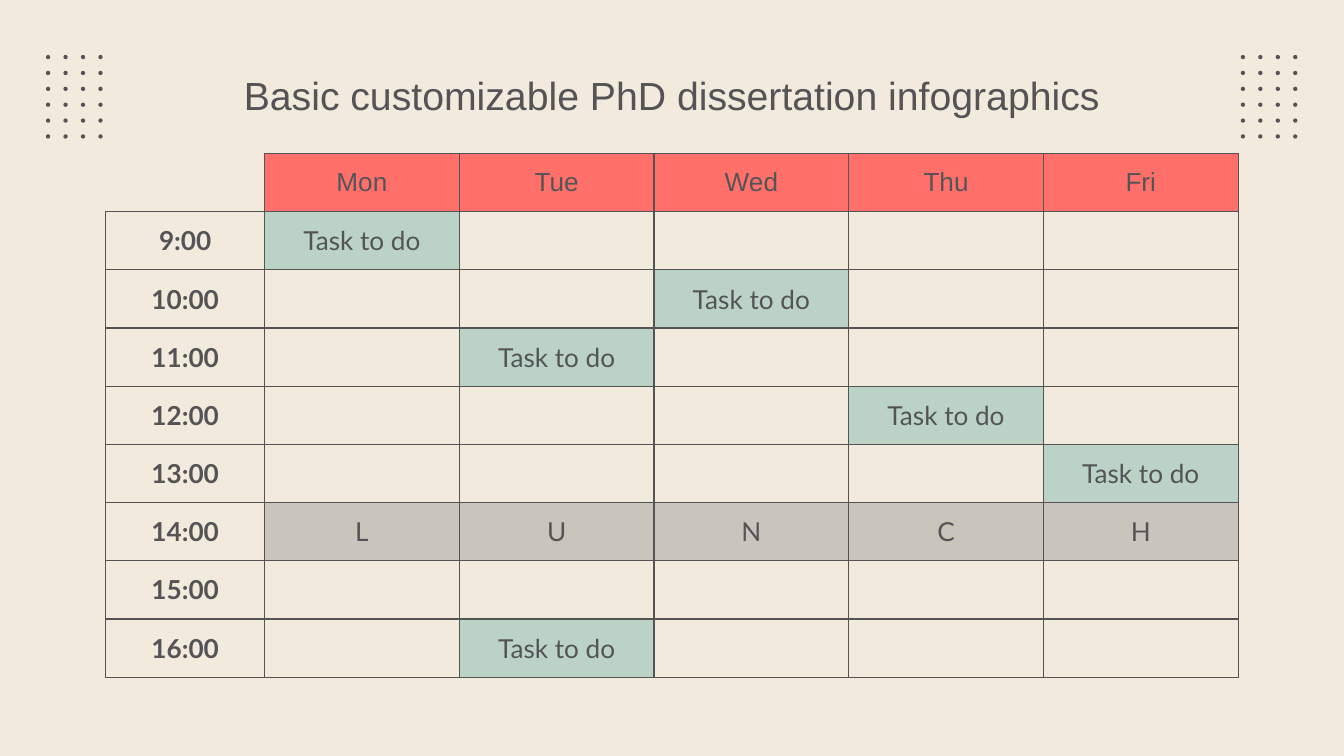
from dataclasses import dataclass

from lxml import etree
from pptx import Presentation
from pptx.dml.color import RGBColor
from pptx.enum.shapes import MSO_SHAPE
from pptx.enum.text import MSO_ANCHOR, PP_ALIGN
from pptx.oxml.ns import qn
from pptx.slide import Slide
from pptx.table import _Cell
from pptx.text.text import _Paragraph
from pptx.util import Cm, Pt

CENTER = PP_ALIGN.CENTER
MIDDLE = MSO_ANCHOR.MIDDLE
OVAL = MSO_SHAPE.OVAL


@dataclass(frozen=True)
class Theme:
    background: str = "F2EADD"
    ink: str = "545457"
    header: str = "FF706B"
    task: str = "BBD3C7"
    lunch: str = "CAC5BC"
    heading_font: str = "Arial"
    body_font: str = "Lato"
    title_size: float = 21
    cell_size: float = 14
    border_width: float = 0.75


@dataclass(frozen=True)
class Entry:
    text: str = ""
    fill: str | None = None
    font: str = "Lato"
    bold: bool = False
    borders: str = "LRTB"


@dataclass(frozen=True)
class DotGrid:
    left: float
    top: float = 1.04
    columns: int = 4
    rows: int = 6
    column_pitch: float = 0.33
    row_pitch: float = 0.3
    diameter: float = 0.08


THEME = Theme()
DAYS = ("Mon", "Tue", "Wed", "Thu", "Fri")
HOURS = tuple(f"{hour}:00" for hour in range(9, 17))
TASKS = {("9:00", "Mon"), ("10:00", "Wed"), ("11:00", "Tue"),
         ("12:00", "Thu"), ("13:00", "Fri"), ("16:00", "Tue")}
LUNCH_HOUR = "14:00"
LUNCH_LETTERS = dict(zip(DAYS, "LUNCH"))
DOT_GRIDS = (DotGrid(left=0.87), DotGrid(left=23.45))
HOUR_WIDTH, DAY_WIDTH, ROW_HEIGHT = 3.0, 3.68, 1.1


def style_paragraph(paragraph: _Paragraph, font: str, size: float, bold: bool = False) -> None:
    paragraph.alignment = CENTER
    paragraph.font.name = font
    paragraph.font.size = Pt(size)
    paragraph.font.bold = bold
    paragraph.font.color.rgb = RGBColor.from_string(THEME.ink)


def draw_dots(slide: Slide, grid: DotGrid) -> None:
    group = slide.shapes.add_group_shape()
    for row in range(grid.rows):
        for column in range(grid.columns):
            dot = group.shapes.add_shape(
                OVAL,
                Cm(grid.left + column * grid.column_pitch),
                Cm(grid.top + row * grid.row_pitch),
                Cm(grid.diameter), Cm(grid.diameter))
            dot.shadow.inherit = False
            dot.fill.solid()
            dot.fill.fore_color.rgb = RGBColor.from_string(THEME.ink)
            dot.line.fill.background()


def draw_title(slide: Slide, text: str) -> None:
    title = slide.shapes.add_textbox(Cm(2), Cm(1.02), Cm(21.4), Cm(1.6))
    frame = title.text_frame
    frame.word_wrap = True
    frame.vertical_anchor = MIDDLE
    frame.margin_top, frame.margin_bottom = Cm(0.18), Cm(0.25)
    frame.text = text
    style_paragraph(frame.paragraphs[0], THEME.heading_font, THEME.title_size)


def draw_borders(cell: _Cell, visible: str) -> None:
    """Line the named sides (L, R, T, B) and clear the others."""
    properties = cell._tc.get_or_add_tcPr()
    for position, side in enumerate("LRTB"):
        line = etree.Element(qn(f"a:ln{side}"), w=str(Pt(THEME.border_width)))
        if side in visible:
            paint = etree.SubElement(line, qn("a:solidFill"))
            etree.SubElement(paint, qn("a:srgbClr"), val=THEME.ink)
        else:
            etree.SubElement(line, qn("a:noFill"))
        properties.insert(position, line)


def fill_cell(cell: _Cell, entry: Entry) -> None:
    # Smaller margins keep empty cells from stretching their row.
    inset = Cm(0.25 if entry.text else 0)
    cell.margin_left = cell.margin_right = Cm(0.25)
    cell.margin_top = cell.margin_bottom = inset
    cell.vertical_anchor = MIDDLE
    if entry.text:
        cell.text = entry.text
    style_paragraph(cell.text_frame.paragraphs[0], entry.font, THEME.cell_size, entry.bold)
    if entry.fill:
        cell.fill.solid()
        cell.fill.fore_color.rgb = RGBColor.from_string(entry.fill)
    else:
        cell.fill.background()
    draw_borders(cell, entry.borders)


def slot_entry(hour: str, day: str) -> Entry:
    if hour == LUNCH_HOUR:
        return Entry(LUNCH_LETTERS[day], THEME.lunch, THEME.body_font)
    if (hour, day) in TASKS:
        return Entry("Task to do", THEME.task, THEME.body_font)
    return Entry()


def schedule_entries() -> list[list[Entry]]:
    header = [Entry(borders="RB")]
    header += [Entry(day, THEME.header, THEME.heading_font) for day in DAYS]
    hours = [[Entry(hour, font=THEME.body_font, bold=True)]
             + [slot_entry(hour, day) for day in DAYS] for hour in HOURS]
    return [header] + hours


def draw_schedule(slide: Slide, entries: list[list[Entry]]) -> None:
    rows, columns = len(entries), len(entries[0])
    schedule = slide.shapes.add_table(
        rows, columns, Cm(2), Cm(2.9),
        Cm(HOUR_WIDTH + len(DAYS) * DAY_WIDTH), Cm(rows * ROW_HEIGHT)).table
    schedule.first_row = False
    schedule.horz_banding = False
    for index, column in enumerate(schedule.columns):
        column.width = Cm(DAY_WIDTH if index else HOUR_WIDTH)
    for row, row_entries in zip(schedule.rows, entries):
        row.height = Cm(ROW_HEIGHT)
        for cell, entry in zip(row.cells, row_entries):
            fill_cell(cell, entry)


def main() -> None:
    presentation = Presentation()
    presentation.slide_width, presentation.slide_height = Cm(25.4), Cm(14.29)
    slide = presentation.slides.add_slide(presentation.slide_layouts[6])
    slide.background.fill.solid()
    slide.background.fill.fore_color.rgb = RGBColor.from_string(THEME.background)
    for grid in DOT_GRIDS:
        draw_dots(slide, grid)
    draw_title(slide, "Basic customizable PhD dissertation infographics")
    draw_schedule(slide, schedule_entries())
    presentation.save("out.pptx")


if __name__ == "__main__":
    main()
